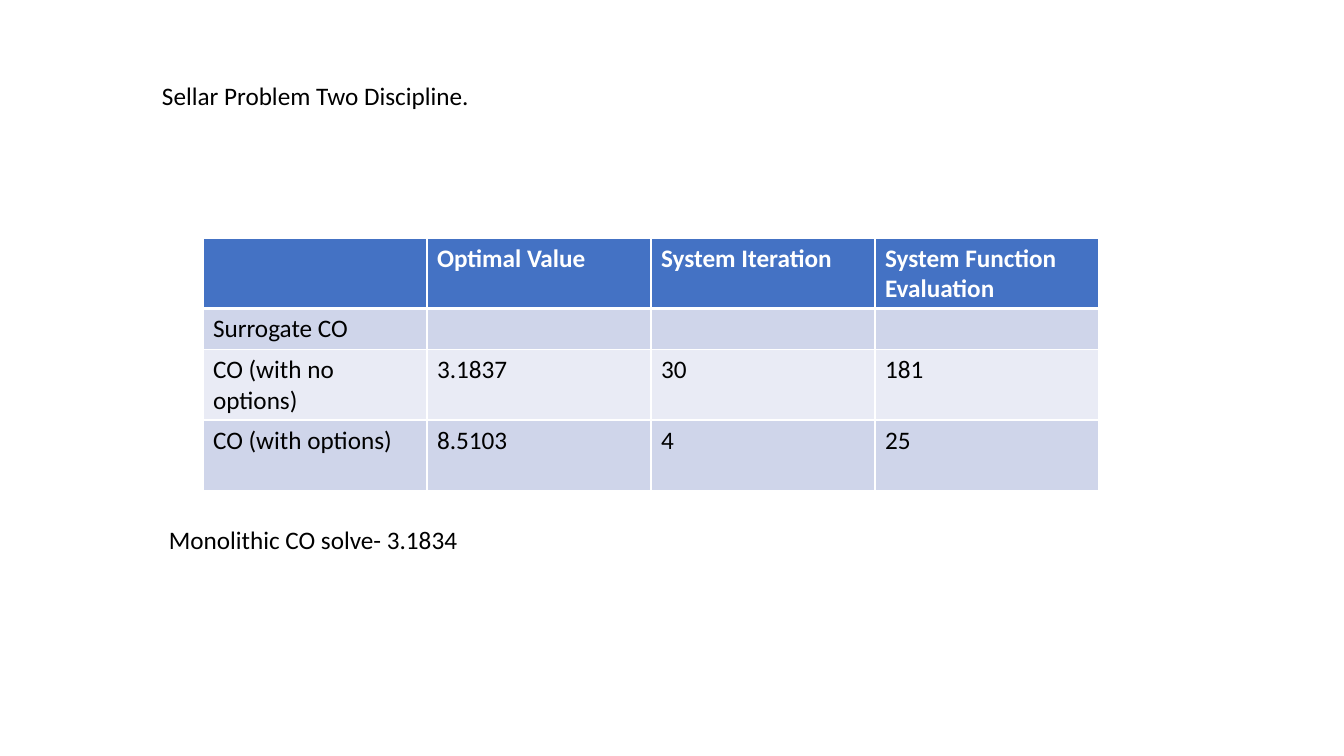
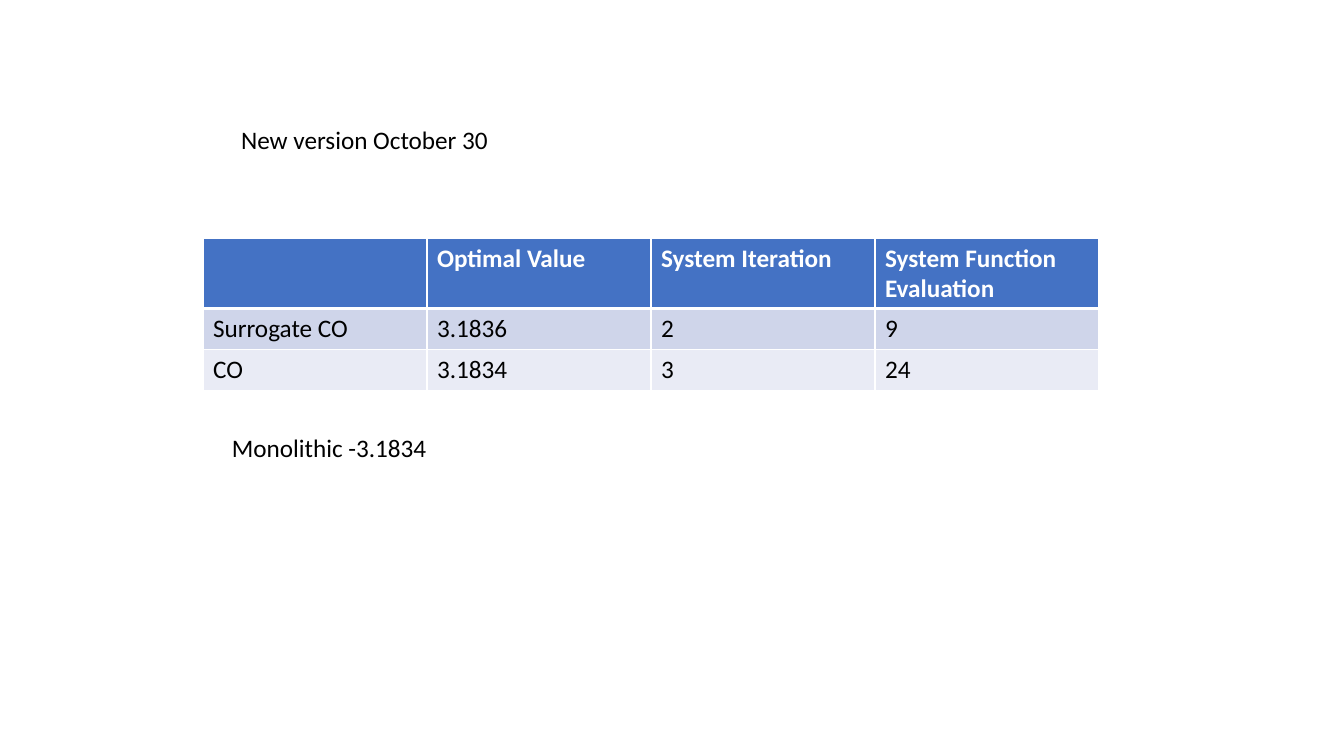
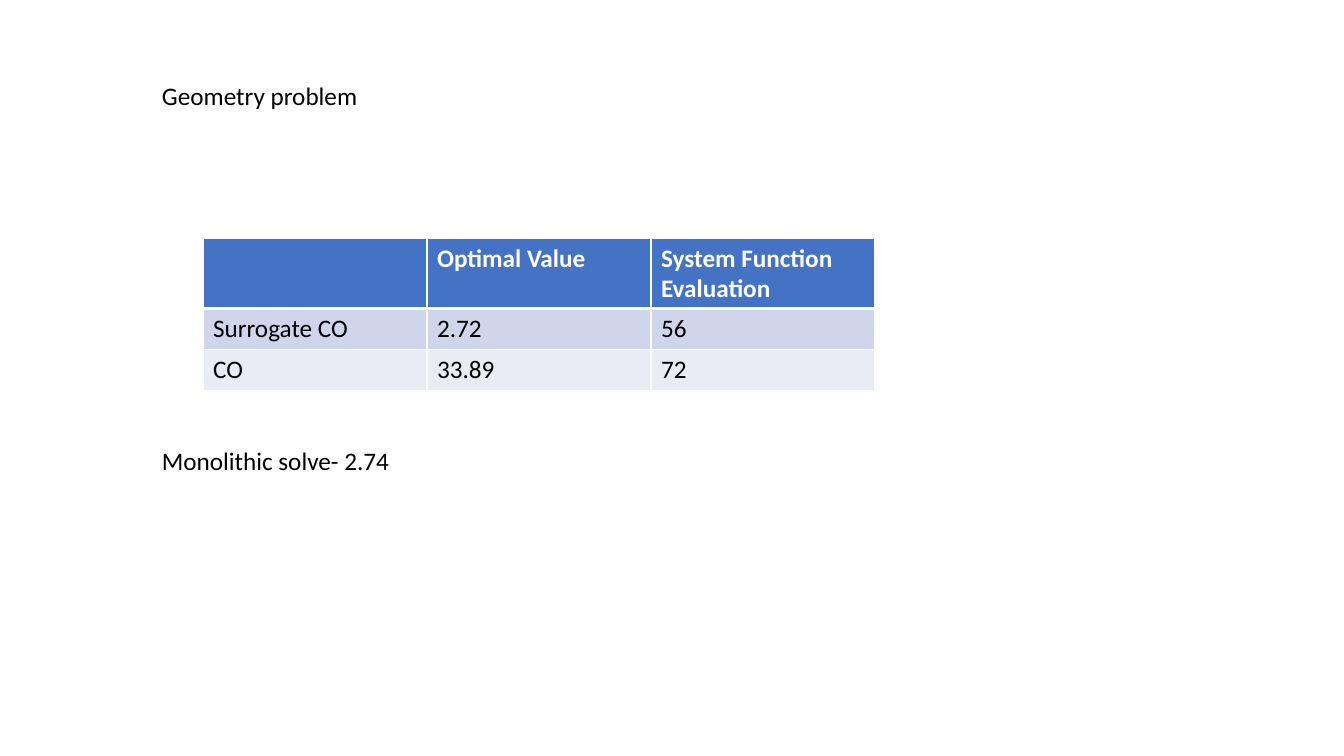
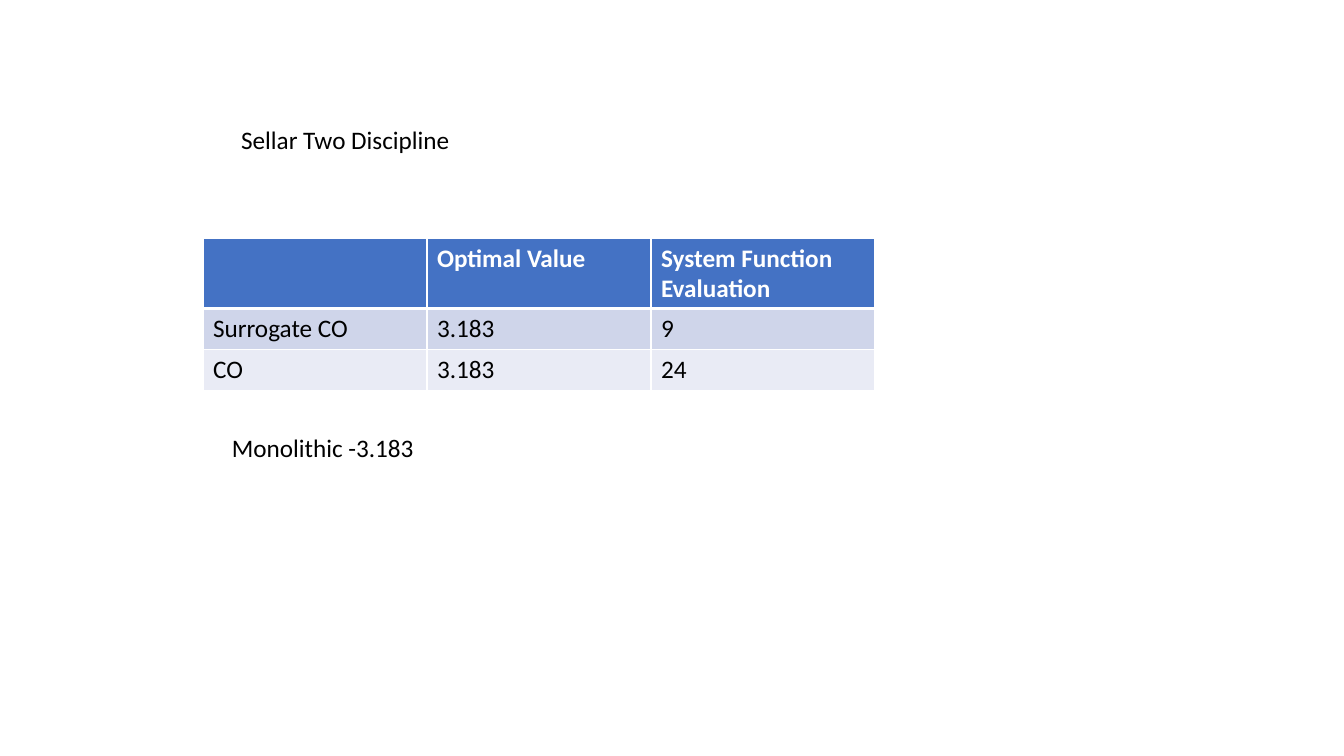
from lxml.etree import SubElement
from pptx import Presentation
from pptx.dml.color import RGBColor
from pptx.enum.text import MSO_ANCHOR, MSO_AUTO_SIZE, PP_ALIGN
from pptx.oxml.ns import qn
from pptx.util import Pt

FONT = "Calibri"
FONT_SIZE = 18
BLACK, WHITE = "000000", "FFFFFF"
HEADER_FILL = "4472C4"
BAND_FILLS = ("CFD5EA", "E9EBF5")

TABLE_LEFT, TABLE_TOP = 145, 170
COLUMN_WIDTH = 160
ONE_LINE, TWO_LINES = 29.2, 50.4

SHORT_HEADER = ["", "Optimal Value", "System Function Evaluation"]
LONG_HEADER = ["", "Optimal Value", "System Iteration", "System Function Evaluation"]

# Boxes as left, top, width, height
HIGH_TITLE = (108.5, 54, 516, 51)
LOW_TITLE = (165, 85.5, 418, 29)
INDENTED_NOTE = (158.5, 305.5, 480, 29)


def color(hex_string):
    return RGBColor.from_string(hex_string)


def write_text(text_frame, text, size=FONT_SIZE, fill=BLACK, bold=False):
    paragraph = text_frame.paragraphs[0]
    paragraph.alignment = PP_ALIGN.LEFT
    if text:
        run = paragraph.add_run()
        run.text = text
        run.font.name = FONT
        run.font.size = Pt(size)
        run.font.bold = bold
        run.font.color.rgb = color(fill)


def set_borders(cell, top=1, bottom=1):
    """Draw white borders; call before the cell's fill, which must follow them in the XML."""
    properties = cell._tc.get_or_add_tcPr()
    for side, width in (("L", 1), ("R", 1), ("T", top), ("B", bottom)):
        line = SubElement(properties, qn(f"a:ln{side}"), w=str(Pt(width)))
        fill = SubElement(line, qn("a:solidFill"))
        SubElement(fill, qn("a:srgbClr"), val=WHITE)


class Deck:
    """Holds the presentation, its style and the current slide."""

    def __init__(self):
        self.presentation = Presentation()
        self.presentation.slide_width = Pt(960)
        self.presentation.slide_height = Pt(540)
        self.slide = None

    def add_slide(self, title, box):
        layout = self.presentation.slide_layouts.get_by_name("Title Only")
        self.slide = self.presentation.slides.add_slide(layout)
        self.fill_box(self.slide.shapes.title, title, box)

    def add_note(self, text, box):
        self.fill_box(self.slide.shapes.add_textbox(0, 0, 0, 0), text, box)

    def fill_box(self, shape, text, box):
        shape.left, shape.top, shape.width, shape.height = map(Pt, box)
        frame = shape.text_frame
        frame.word_wrap = True
        frame.auto_size = MSO_AUTO_SIZE.SHAPE_TO_FIT_TEXT
        frame.vertical_anchor = MSO_ANCHOR.TOP
        write_text(frame, text)

    def add_table(self, header, body, body_heights=(ONE_LINE, ONE_LINE)):
        rows = [header, *body]
        heights = [TWO_LINES, *body_heights]
        table = self.slide.shapes.add_table(
            len(rows), len(header), Pt(TABLE_LEFT), Pt(TABLE_TOP),
            Pt(COLUMN_WIDTH * len(header)), Pt(sum(heights))).table
        for column in table.columns:
            column.width = Pt(COLUMN_WIDTH)
        for row_index, (values, height) in enumerate(zip(rows, heights)):
            table.rows[row_index].height = Pt(height)
            is_header = row_index == 0
            fill = HEADER_FILL if is_header else BAND_FILLS[(row_index - 1) % 2]
            for column_index, value in enumerate(values):
                cell = table.cell(row_index, column_index)
                set_borders(cell, top=3 if row_index == 1 else 1,
                            bottom=3 if is_header else 1)
                cell.fill.solid()
                cell.fill.fore_color.rgb = color(fill)
                write_text(cell.text_frame, value, bold=is_header,
                           fill=WHITE if is_header else BLACK)


def main():
    deck = Deck()

    deck.add_slide("Sellar Problem Two Discipline.", HIGH_TITLE)
    deck.add_table(LONG_HEADER, [
        ["Surrogate CO", "", "", ""],
        ["CO (with no options)", "3.1837", "30", "181"],
        ["CO (with options)", "8.5103", "4", "25"],
    ], body_heights=(ONE_LINE, TWO_LINES, TWO_LINES))
    deck.add_note("Monolithic CO solve- 3.1834", (113.5, 371, 522, 29))

    deck.add_slide("New version October 30", LOW_TITLE)
    deck.add_table(LONG_HEADER, [
        ["Surrogate CO", "3.1836", "2", "9"],
        ["CO", "3.1834", "3", "24"],
    ])
    deck.add_note("Monolithic -3.1834", INDENTED_NOTE)

    deck.add_slide("Geometry problem", HIGH_TITLE)
    deck.add_table(SHORT_HEADER, [
        ["Surrogate CO", "2.72", "56"],
        ["CO", "33.89", "72"],
    ])
    deck.add_note("Monolithic solve- 2.74", (108.5, 314.5, 522, 29))

    deck.add_slide("Sellar Two Discipline", LOW_TITLE)
    deck.add_table(SHORT_HEADER, [
        ["Surrogate CO", "3.183", "9"],
        ["CO", "3.183", "24"],
    ])
    deck.add_note("Monolithic -3.183", INDENTED_NOTE)

    deck.presentation.save("out.pptx")


if __name__ == "__main__":
    main()
